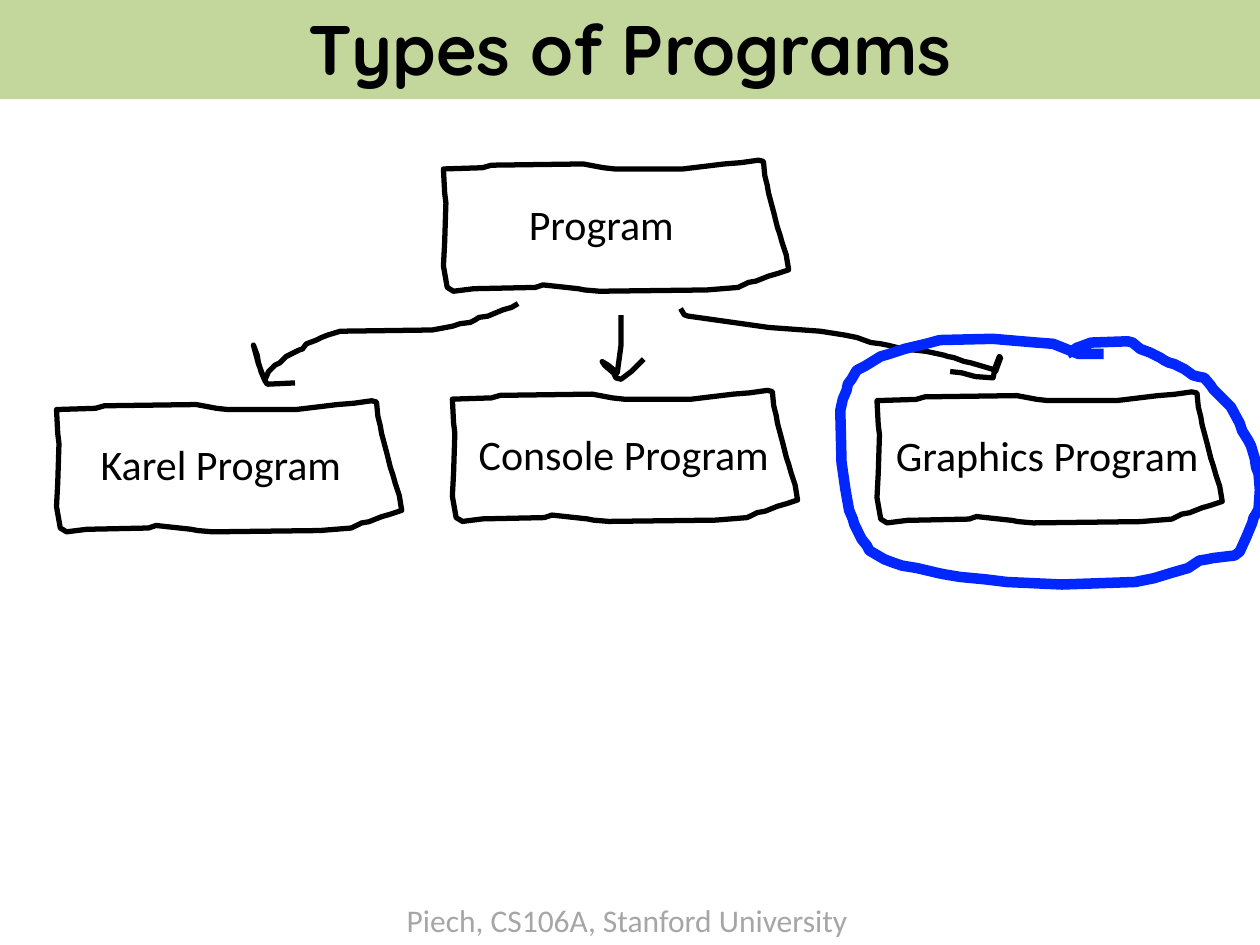
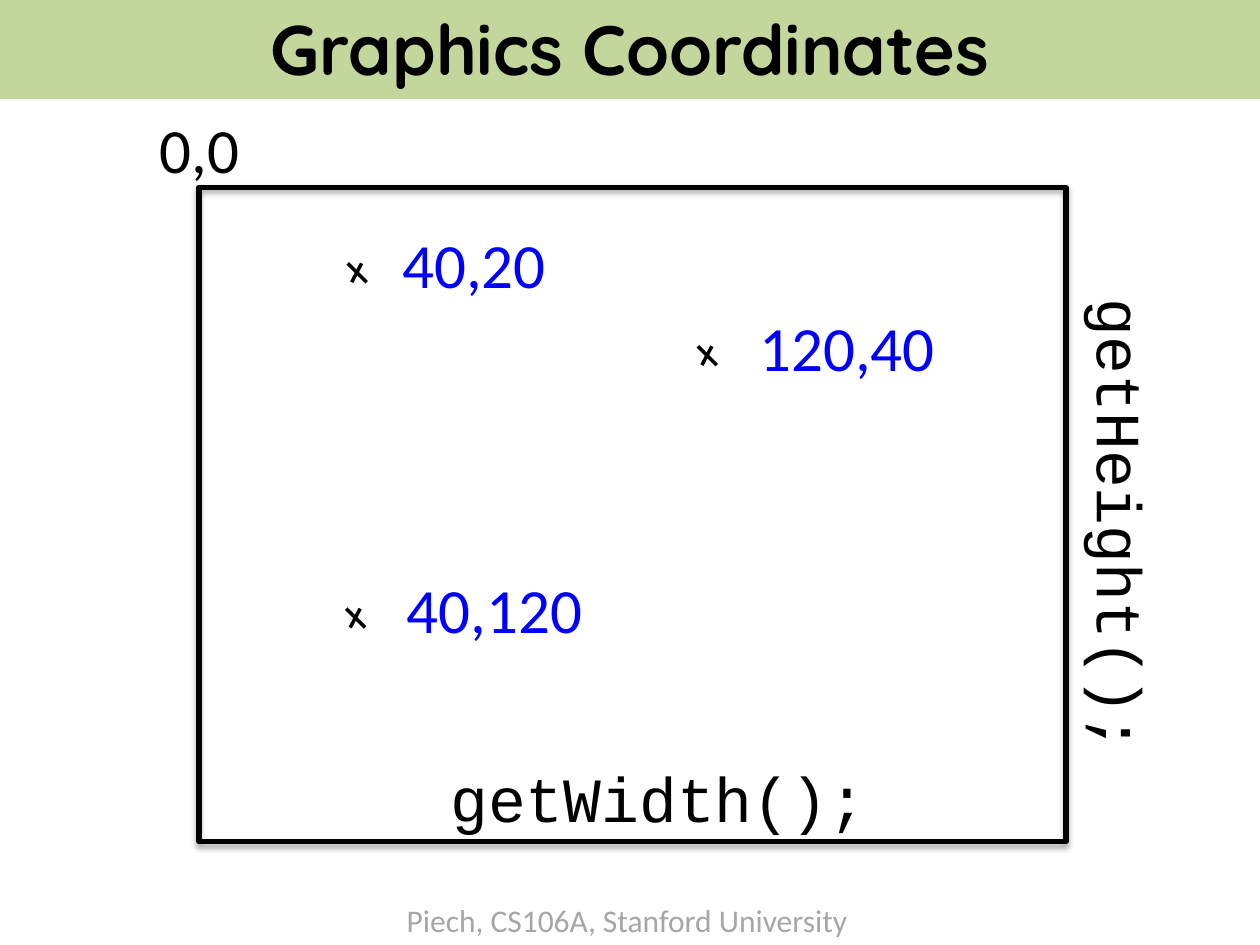
from lxml.etree import SubElement
from pptx import Presentation
from pptx.dml.color import RGBColor
from pptx.enum.shapes import MSO_CONNECTOR, MSO_SHAPE
from pptx.enum.text import MSO_ANCHOR, MSO_AUTO_SIZE, PP_ALIGN
from pptx.oxml.ns import qn
from pptx.util import Cm, Pt

BLACK, BAND, GREY = "000000", "C3D69B", "A6A6A6"
INK_BLUE, LABEL_BLUE = "0027FF", "0000FF"
FOOTER = "Piech, CS106A, Stanford University"
SKETCH_UNIT = Cm(2.54) / 100

TITLE = {"name": "Quicksand", "size": Pt(40), "bold": True}
FOOT = {"name": "Calibri", "size": Pt(18)}
NODE = {"name": "Calibri", "size": Pt(24)}
COORD = {"name": "Calibri", "size": Pt(36)}
CODE = {"name": "Courier New", "size": Pt(36)}

BOX_OUTLINE = [
    (190, 7), (136, 7), (127, 6), (111, 3), (38, 4), (31, 6), (0, 7), (1, 26),
    (2, 34), (1, 65), (0, 84), (3, 101), (8, 104), (24, 102), (73, 101),
    (79, 99), (107, 102), (112, 103), (124, 104), (209, 103), (234, 101),
    (242, 97), (248, 96), (258, 92), (265, 90), (274, 87), (272, 75),
    (269, 66), (267, 59), (265, 53), (262, 41), (258, 26), (257, 20),
    (256, 16), (255, 12), (254, 1), (250, 0), (236, 2), (223, 3)]
LEFT_ARROW = [
    (210, 0), (205, 3), (198, 5), (186, 10), (179, 11), (176, 13), (172, 15),
    (164, 16), (158, 18), (142, 21), (69, 22), (59, 25), (54, 27), (50, 29),
    (42, 32), (39, 36), (36, 37), (26, 42), (21, 47), (17, 49), (12, 54),
    (9, 61), (6, 54), (5, 50), (4, 47), (3, 41), (0, 33), (4, 48), (6, 53),
    (9, 61), (11, 64), (33, 63)]
MIDDLE_ARROW = [
    (15, 0), (15, 24), (12, 46), (5, 40), (0, 37), (2, 40), (9, 46), (11, 50),
    (15, 51), (23, 45), (28, 40), (33, 35)]
RIGHT_ARROW = [
    (0, 0), (3, 5), (6, 6), (70, 15), (111, 18), (130, 21), (140, 23),
    (151, 27), (159, 28), (164, 29), (172, 31), (177, 32), (195, 34),
    (209, 37), (212, 38), (217, 39), (225, 42), (230, 43), (237, 45),
    (247, 48), (250, 50), (254, 39), (253, 38), (250, 46), (248, 55),
    (234, 54), (223, 51), (214, 50)]
CIRCLE = [
    (209, 12), (189, 12), (169, 4), (156, 3), (121, 0), (79, 1), (68, 4),
    (51, 8), (39, 12), (32, 14), (24, 19), (19, 22), (13, 25), (9, 32),
    (6, 36), (5, 41), (2, 48), (0, 57), (1, 98), (4, 119), (7, 136),
    (10, 143), (11, 147), (13, 151), (17, 159), (21, 164), (23, 168),
    (35, 175), (43, 178), (49, 180), (61, 182), (78, 186), (83, 187),
    (95, 189), (116, 191), (132, 193), (176, 195), (234, 193), (244, 191),
    (249, 190), (262, 186), (269, 184), (276, 182), (285, 176), (291, 175),
    (296, 174), (313, 172), (317, 169), (322, 158), (327, 146), (328, 142),
    (330, 139), (332, 135), (333, 120), (332, 107), (330, 102), (329, 95),
    (326, 85), (324, 81), (319, 73), (317, 67), (310, 54), (307, 51),
    (296, 40), (294, 37), (289, 31), (284, 30), (280, 29), (273, 24),
    (265, 20), (261, 19), (257, 17), (254, 15), (246, 11), (238, 8), (232, 3),
    (228, 2), (199, 3), (191, 6), (188, 7), (185, 9), (180, 12)]


def rgb(color):
    """Turn a hex string into a colour."""
    return RGBColor.from_string(color)


def write(tf, text, font, color=BLACK, align=PP_ALIGN.CENTER):
    """Write one formatted line into a text frame."""
    p = tf.paragraphs[0]
    p.alignment = align
    r = p.add_run()
    r.text = text
    for name, value in font.items():
        setattr(r.font, name, value)
    r.font.color.rgb = rgb(color)


def add_text(s, box, text, font, color=BLACK, align=PP_ALIGN.CENTER, wrap=True):
    """Add a text box at a box given in centimetres."""
    sp = s.shapes.add_textbox(*map(Cm, box))
    tf = sp.text_frame
    tf.word_wrap = wrap
    tf.auto_size = MSO_AUTO_SIZE.SHAPE_TO_FIT_TEXT
    write(tf, text, font, color, align)
    return sp


def set_line(sp, color, width):
    """Set the colour and point width of a line."""
    sp.line.color.rgb = rgb(color)
    sp.line.width = Pt(width)


def add_sketch(s, left, top, points, color=BLACK, width=3, close=False):
    """Draw a hand-drawn outline from its top left corner."""
    fb = s.shapes.build_freeform(*points[0], scale=SKETCH_UNIT)
    fb.add_line_segments(points[1:], close=close)
    sp = fb.convert_to_shape(Cm(left), Cm(top))
    sp.shadow.inherit = False
    sp.fill.background()
    set_line(sp, color, width)


def add_slide(prs, title):
    """Add a slide with the footer and the title band."""
    s = prs.slides.add_slide(prs.slide_layouts[6])
    add_text(s, (7.95, 18.03, 9.5, 1.02), FOOTER, FOOT, GREY,
             PP_ALIGN.LEFT, wrap=False)
    band = s.shapes.add_shape(MSO_SHAPE.RECTANGLE,
                              *map(Cm, (0, -0.08, 25.4, 2.08)))
    band.shadow.inherit = False
    band.fill.solid()
    band.fill.fore_color.rgb = rgb(BAND)
    band.line.fill.background()
    band.text_frame.vertical_anchor = MSO_ANCHOR.MIDDLE
    write(band.text_frame, title, TITLE)
    return s


def add_node(s, left, top, text, indent, width):
    """Draw a sketched box with its label."""
    add_sketch(s, left, top, BOX_OUTLINE, close=True)
    add_text(s, (left + indent, top + 0.64, width, 1.27), text, NODE,
             align=PP_ALIGN.LEFT, wrap=False)


def add_marker(s, left, top, text, gap):
    """Draw a small cross with its coordinate label."""
    size = 0.38
    for x1, x2 in ((0, size), (0.28, 0.08)):
        stroke = s.shapes.add_connector(
            MSO_CONNECTOR.STRAIGHT,
            *map(Cm, (left + x1, top, left + x2, top + size)))
        set_line(stroke, BLACK, 2)
        SubElement(stroke._element.spPr, qn("a:effectLst"))
    add_text(s, (left + gap, top - 0.89, 4.14, 1.8), text, COORD, LABEL_BLUE)


def add_canvas(s, box):
    """Draw the canvas frame with a soft shadow below it."""
    sp = s.shapes.add_shape(MSO_SHAPE.RECTANGLE, *map(Cm, box))
    sp.shadow.inherit = False
    sp.fill.background()
    set_line(sp, BLACK, 3)
    effects = sp._element.spPr.find(qn("a:effectLst"))
    shadow = SubElement(effects, qn("a:outerShdw"), blurRad=str(Pt(3.1)),
                        dist=str(Pt(1.8)), dir="5400000", rotWithShape="0")
    color = SubElement(shadow, qn("a:srgbClr"), val=BLACK)
    SubElement(color, qn("a:alpha"), val="35000")


def build_types(prs):
    """Build the tree of program types."""
    s = add_slide(prs, "Types of Programs")
    for node in ((8.94, 3.23, "Program", 1.47, 3.45),
                 (1.14, 8.08, "Karel Program", 0.64, 5.41),
                 (9.12, 7.87, "Console Program", 0.28, 6.4),
                 (17.68, 7.9, "Graphics Program", 0.13, 6.68)):
        add_node(s, *node)
    for arrow in ((5.11, 6.12, LEFT_ARROW), (12.14, 6.35, MIDDLE_ARROW),
                  (13.72, 6.22, RIGHT_ARROW)):
        add_sketch(s, *arrow)
    add_sketch(s, 16.94, 6.83, CIRCLE, INK_BLUE, 6)


def build_coordinates(prs):
    """Build the canvas with its sizes and sample points."""
    s = add_slide(prs, "Graphics Coordinates")
    left, top, width, height = canvas = (4.01, 3.78, 17.48, 13.18)
    add_canvas(s, canvas)
    add_text(s, (left - 1.17, top - 1.67, 2.36, 1.8), "0,0", COORD)
    sp = add_text(s, (left + width - 4.17, top + 5.92, 10.57, 1.8),
                  "getHeight();", CODE)
    sp.rotation = 90
    add_text(s, (left + 4.7, top + height - 1.77, 9.12, 1.8),
             "getWidth();", CODE)
    for x, y, text, gap in ((3, 1.53, "40,20", 0.48),
                            (2.97, 8.49, "40,120", 0.92),
                            (10.06, 3.2, "120,40", 0.94)):
        add_marker(s, left + x, top + y, text, gap)


def main():
    """Build and save the presentation."""
    prs = Presentation()
    prs.slide_width, prs.slide_height = Cm(25.4), Cm(19.05)
    build_types(prs)
    build_coordinates(prs)
    prs.save("out.pptx")


if __name__ == "__main__":
    main()
